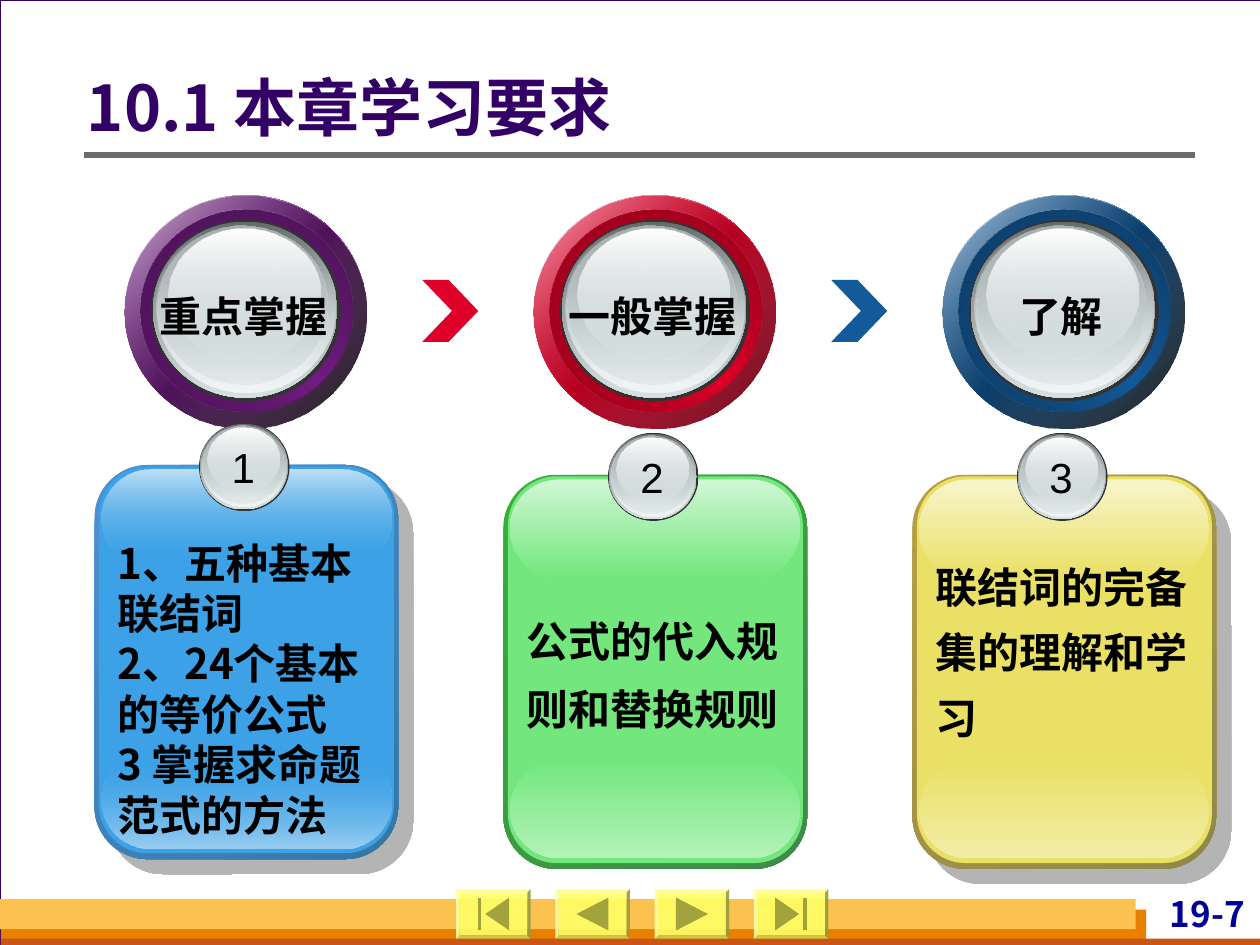
from dataclasses import dataclass
from typing import NamedTuple

from lxml import etree
from pptx import Presentation
from pptx.dml.color import RGBColor
from pptx.enum import shapes as s, text as t
from pptx.oxml.ns import qn
from pptx.util import Pt


@dataclass(frozen=True)
class Theme:
    cjk: str = "Noto Sans CJK SC"
    latin: str = "Arial"
    title: str = "330066"
    page: str = "000099"
    ink: str = "000000"
    white: str = "FFFFFF"
    rule: str = "6B6B6B"
    rim: str = "333333"
    background: str = "D8DADA"
    button: str = "FFFF66"
    icon: str = "A3A33E"
    title_size: float = 36
    page_size: float = 20
    body_size: float = 24


class Stop(NamedTuple):
    position: int
    color: str
    alpha: int = 100


class Layer(NamedTuple):
    """Place as fractions of the disc, then its fill."""
    x: float
    y: float
    w: float
    h: float
    stops: tuple


@dataclass(frozen=True)
class Column:
    heading: str
    number: str
    ring: str
    ring_dark: str
    ring_deep: str
    ring_end: Stop
    panel_top: float
    panel: str
    edge: tuple
    glow_top: str
    glow_bottom: str
    glow_alpha: int
    shadow: bool
    text_top: float
    spacing: float
    lines: tuple


THEME = Theme()
PITCH = 233.7
BLACK_END = Stop(100, "000000", 90)
COLUMNS = (
    Column("重点掌握", "1", "711C81", "3D0F46", "481252", BLACK_END, 265.7,
           "3CA1E6", ("4E91D4", "3477A4"), "BEE0F7", "9BCFF2", 0, True, 303.4, 28.8,
           ("1、五种基本联结词", "2、24个基本的等价公式", "3 掌握求命题范式的方法")),
    Column("一般掌握", "2", "DF0029", "790016", "8E001A", Stop(100, "670013"), 271.3,
           "73E77E", ("34B034", "3F8B4A"), "D0F7D4", "B3F2B9", 100, False, 338, 38.9,
           ("公式的代入规则和替换规则",)),
    Column("了解", "3", "135A9A", "0A3153", "0C3962", BLACK_END, 271.3,
           "E9E065", ("B59F43", "8F8849"), "F8F5CC", "F2EDA6", 100, True, 308.4, 37.5,
           ("联结词的完备集的理解和学习",)),
)
GLASS = (
    Layer(0, 0, 1, 1, (Stop(0, THEME.rim), Stop(100, THEME.rim))),
    Layer(0.01, 0.01, 0.97, 0.97, (Stop(0, "636869"), Stop(100, "D6E1E2"))),
    Layer(0.03, 0.01, 0.94, 0.94, (Stop(0, "D6E1E2", 0), Stop(100, "F1F5F5"))),
    Layer(0.04, 0.03, 0.89, 0.88, (Stop(0, "AAB2B3"), Stop(100, "D6E1E2", 48))),
    Layer(0.09, 0.05, 0.8, 0.72, (Stop(0, "FFFFFF"), Stop(100, "D6E1E2", 38))),
)


def color_node(parent, color: str, alpha: float) -> None:
    node = etree.SubElement(parent, qn("a:srgbClr"), val=color)
    if alpha < 100:
        etree.SubElement(node, qn("a:alpha"), val=str(int(alpha * 1000)))


def add_solid(shapes, kind, x: float, y: float, w: float, h: float, color: str):
    shape = shapes.add_shape(kind, Pt(x), Pt(y), Pt(w), Pt(h))
    paint(shape, color)
    return shape


def paint(shape, color: str) -> None:
    shape.shadow.inherit = False
    shape.fill.solid()
    shape.fill.fore_color.rgb = RGBColor.from_string(color)
    shape.line.fill.background()


def add_gradient(shapes, kind, x, y, w, h, stops, angle: int):
    shape = add_solid(shapes, kind, x, y, w, h, THEME.white)
    gradient = etree.Element(qn("a:gradFill"), rotWithShape="1")
    stop_list = etree.SubElement(gradient, qn("a:gsLst"))
    for stop in stops:
        node = etree.SubElement(stop_list, qn("a:gs"), pos=str(stop.position * 1000))
        color_node(node, stop.color, stop.alpha)
    etree.SubElement(gradient, qn("a:lin"), ang=str(angle * 60000), scaled="0")
    solid = shape._element.spPr.find(qn("a:solidFill"))
    solid.getparent().replace(solid, gradient)
    return shape


def style(paragraph, font: str, size: float, color: str, bold: bool = True) -> None:
    for run in paragraph.runs:
        run.font.name, run.font.size, run.font.bold = font, Pt(size), bold
        run.font.color.rgb = RGBColor.from_string(color)
        latin = run._r.rPr.find(qn("a:latin"))
        latin.addnext(etree.Element(qn("a:ea"), typeface=THEME.cjk))


def add_text(shapes, x, y, w, h, lines, font=THEME.cjk, size=THEME.body_size,
             color=THEME.ink, bold=True, align=t.PP_ALIGN.LEFT, wrap=True,
             spacing=None, anchor=t.MSO_ANCHOR.TOP) -> None:
    frame = shapes.add_textbox(Pt(x), Pt(y), Pt(w), Pt(h)).text_frame
    frame.word_wrap, frame.vertical_anchor = wrap, anchor
    frame.text = "\n".join(lines)
    for paragraph in frame.paragraphs:
        paragraph.alignment = align
        if spacing:
            paragraph.line_spacing = Pt(spacing)
        style(paragraph, font, size, color, bold)


def add_glass(shapes, x: float, y: float, w: float, h: float) -> None:
    for layer in GLASS:
        add_gradient(shapes, s.MSO_SHAPE.OVAL, x + layer.x * w, y + layer.y * h,
                     layer.w * w, layer.h * h, layer.stops, 90)


def add_ring(slide, column: Column, x: float) -> None:
    shapes = slide.shapes.add_group_shape().shapes
    main, dark, oval = column.ring, column.ring_dark, s.MSO_SHAPE.OVAL
    outer, inner = (x, 111.6, 138.2, 133.2), (x + 9, 120, 120.8, 115.2)
    add_gradient(shapes, oval, *outer, (Stop(0, "FFFFFF"), Stop(50, main), Stop(100, "FFFFFF")), 45)
    add_gradient(shapes, oval, *outer, (Stop(0, main, 32), column.ring_end), 45)
    add_gradient(shapes, oval, *inner, (Stop(0, dark), Stop(50, main), Stop(100, dark)), 315)
    add_gradient(shapes, oval, *inner, (Stop(0, column.ring_deep), Stop(100, main, 0)), 45)
    add_glass(shapes, x + 15, 125.6, 108.5, 103.7)
    add_text(shapes, x + 10, 162.7, 115, 36, [column.heading], THEME.latin,
             align=t.PP_ALIGN.CENTER, wrap=False)


def add_panel(slide, column: Column, x: float) -> None:
    shapes = slide.shapes.add_group_shape().shapes
    rounded, y, glow = s.MSO_SHAPE.ROUNDED_RECTANGLE, column.panel_top, column.glow_alpha
    edge = add_gradient(shapes, rounded, x, y, 173.5, 225.2,
                        (Stop(0, column.edge[0]), Stop(100, column.edge[1])), 45)
    edge.adjustments[0] = 0.175
    if column.shadow:
        effects = edge._element.spPr.find(qn("a:effectLst"))
        shadow = etree.SubElement(effects, qn("a:outerShdw"), dist=str(Pt(12.1)),
                                  dir="2700000", algn="ctr", rotWithShape="0")
        color_node(shadow, THEME.rule, 50)
    face = add_solid(shapes, rounded, x + 2.6, y + 0.9, 168.5, 221, column.panel)
    face.adjustments[0] = 0.165
    for offset, stops in (
            (163.3, (Stop(0, column.panel, glow), Stop(100, column.glow_bottom))),
            (2.7, (Stop(0, column.glow_top), Stop(100, column.panel, glow)))):
        shine = add_gradient(shapes, rounded, x + 3.8, y + offset, 165.7, 55.8, stops, 90)
        shine.adjustments[0] = 0.5
    add_glass(shapes, x + 59.7, y - 24, 51.8, 50.4)
    add_text(shapes, x + 71.2, y - 16.8, 27.4, 36, [column.number], THEME.latin,
             bold=False, align=t.PP_ALIGN.CENTER, wrap=False)
    add_text(shapes, x + 6.1, column.text_top, 165, 120, column.lines, spacing=column.spacing)


def add_button(slide, x: float, outlines: tuple) -> None:
    shapes, y = slide.shapes.add_group_shape().shapes, 508.2
    button = add_solid(shapes, s.MSO_SHAPE.BEVEL, x, y, 42.5, 28.2, THEME.button)
    button.adjustments[0] = 0.065
    color = button._element.spPr.find(qn("a:solidFill"))[0]
    etree.SubElement(color, qn("a:alpha"), val="90000")
    for outline in outlines:
        points = [(Pt(x + px), Pt(y + py)) for px, py in outline]
        builder = shapes.build_freeform(*points[0])
        builder.add_line_segments(points[1:], close=True)
        paint(builder.convert_to_shape(), THEME.icon)


def add_frame(slide) -> None:
    rectangle = s.MSO_SHAPE.RECTANGLE
    page = add_solid(slide.shapes, rectangle, 0, 0, 720.5, 540, THEME.white)
    page.line.color.rgb = RGBColor.from_string(THEME.title)
    page.line.width = Pt(0.75)
    for x, y, w, h, color in ((0.5, 519.8, 654.5, 20.2, "E88000"),
                              (0.5, 536.4, 719.5, 5.5, "C95616"),
                              (0, 513.8, 649, 17.2, "FCC24F")):
        add_solid(slide.shapes, rectangle, x, y, w, h, color)
    add_text(slide.shapes, 618.5, 509.8, 100, 24, ["19-7"], size=THEME.page_size,
             color=THEME.page, align=t.PP_ALIGN.RIGHT, anchor=t.MSO_ANCHOR.MIDDLE)
    rule = slide.shapes.add_connector(s.MSO_CONNECTOR.STRAIGHT, Pt(48), Pt(88.6), Pt(683), Pt(88.6))
    rule.line.color.rgb, rule.line.width = RGBColor.from_string(THEME.rule), Pt(3)
    etree.SubElement(rule._element.spPr, qn("a:effectLst"))


def add_title(slide, words: str) -> None:
    title = slide.shapes.title
    title._element.getparent().append(title._element)  # in front of the page frame
    title.left, title.top, title.width, title.height = Pt(49.7), Pt(38.9), Pt(560), Pt(49.7)
    frame = title.text_frame
    frame.text, frame.margin_left = words, 0
    frame.vertical_anchor = t.MSO_ANCHOR.MIDDLE
    paragraph = frame.paragraphs[0]
    paragraph.alignment, paragraph.line_spacing = t.PP_ALIGN.LEFT, 0.9
    style(paragraph, THEME.cjk, THEME.title_size, THEME.title)


def main() -> None:
    presentation = Presentation()
    presentation.slide_width, presentation.slide_height = Pt(720), Pt(540)
    slide = presentation.slides.add_slide(presentation.slide_layouts[5])
    slide.background.fill.solid()
    slide.background.fill.fore_color.rgb = RGBColor.from_string(THEME.background)
    add_frame(slide)

    # Navigation buttons: first, back, next, last
    back = ((12, 14.1), (30.3, 4.7), (30.3, 23.5))
    first = ((16.6, 14.1), (30.3, 4.7), (30.3, 23.5))
    bar = ((12.2, 4.7), (14.4, 4.7), (14.4, 23.5), (12.2, 23.5))
    backward = ((first, bar), (back,))
    forward = [tuple(tuple((42.5 - x, y) for x, y in o) for o in icon) for icon in backward[::-1]]
    for index, icon in enumerate((*backward, *forward)):
        add_button(slide, 260.7 + index * 56.7, icon)

    add_title(slide, "10.1 本章学习要求")

    # Chevrons take the colour of the ring they lead to
    for index, column in enumerate(COLUMNS[1:]):
        chevron = add_solid(slide.shapes, s.MSO_SHAPE.CHEVRON, 241.3 + index * PITCH, 160,
                            32, 35.4, column.ring)
        chevron.adjustments[0] = 0.53
    for index, column in enumerate(COLUMNS):
        add_ring(slide, column, 71.4 + index * PITCH)
        add_panel(slide, column, 54 + index * PITCH)
    presentation.save("out.pptx")


if __name__ == "__main__":
    main()
